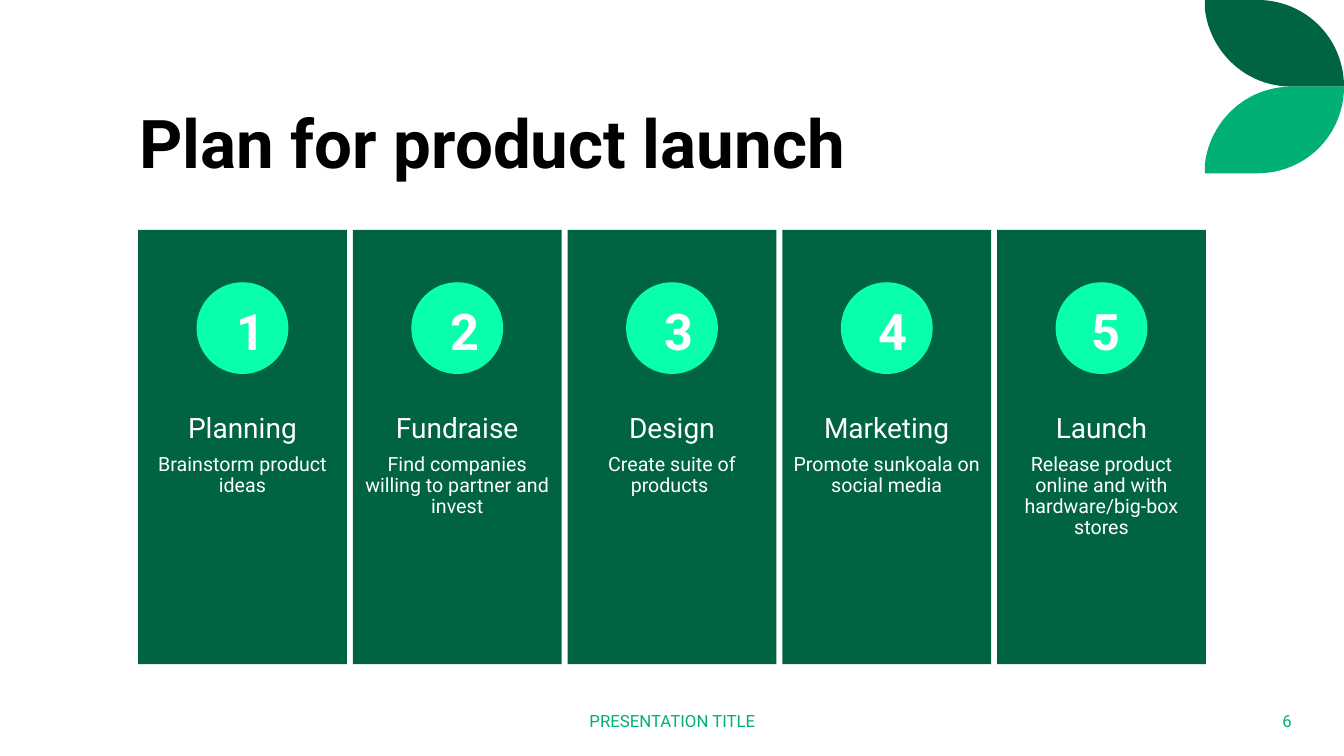
"""Build a slide with a five-step product launch plan."""
import pptx
import pptx.util
import pptx.dml.color
import pptx.enum.shapes
import pptx.enum.text

Inches = pptx.util.Inches
Pt = pptx.util.Pt
Align = pptx.enum.text.PP_ALIGN
Anchor = pptx.enum.text.MSO_ANCHOR
Kind = pptx.enum.shapes.MSO_SHAPE


def paint(target, color):
    if hasattr(target, "fill") and hasattr(target, "shadow"):
        target.shadow.inherit = False
        target.line.fill.background()
    target.fill.solid()
    target.fill.fore_color.rgb = pptx.dml.color.RGBColor.from_string(color)


def write(para, text, size, color, bold=False, align=Align.CENTER):
    para.alignment = align
    run = para.add_run()
    run.text = text
    run.font.name = "Roboto"
    run.font.size = Pt(size)
    run.font.bold = bold
    paint(run.font, color)


deck = pptx.Presentation()
deck.slide_width = Inches(13.33)
deck.slide_height = Inches(7.5)
slide = deck.slides.add_slide(deck.slide_layouts[5])
shapes = slide.shapes

curves = [
    [(12.47, 0), (12.95, 0), (13.33, 0.38), (13.33, 0.86)],
    [(12.81, 0.86), (12.36, 0.86), (12, 0.52), (11.95, 0.09)],
]
steps = 24
edge = [(11.95, 0)]
for curve in curves:
    for step in range(steps + 1):
        t = step / steps
        parts = [(1 - t) ** 3, 3 * t * (1 - t) ** 2, 3 * t ** 2 * (1 - t), t ** 3]
        edge.append(tuple(sum(w * p[axis] for w, p in zip(parts, curve)) for axis in (0, 1)))

for color, flip in [("006442", False), ("00B075", True)]:
    spots = [(Inches(x), Inches(1.72 - y if flip else y)) for x, y in edge]
    leaf = shapes.build_freeform(*spots[0])
    leaf.add_line_segments(spots[1:], close=True)
    paint(leaf.convert_to_shape(), color)

title = shapes.title
title.left, title.top = Inches(1.28), Inches(0.42)
title.width, title.height = Inches(10.69), Inches(1.45)
frame = title.text_frame
frame.vertical_anchor = Anchor.BOTTOM
frame.auto_size = pptx.enum.text.MSO_AUTO_SIZE.NONE
frame.paragraphs[0].line_spacing = 0.9
write(frame.paragraphs[0], "Plan for product launch", 48, "000000", True, Align.LEFT)

stages = [
    ("Planning", "Brainstorm product ideas"),
    ("Fundraise", "Find companies willing to partner and invest"),
    ("Design", "Create suite of products "),
    ("Marketing", "Promote sunkoala on social media"),
    ("Launch", "Release product online and with hardware/big-box stores"),
]
for index, (name, detail) in enumerate(stages):
    left = 1.37 + 2.13 * index
    card = shapes.add_shape(Kind.RECTANGLE, Inches(left), Inches(2.28), Inches(2.07), Inches(4.31))
    paint(card, "006442")

    frame = shapes.add_textbox(Inches(left), Inches(4), Inches(2.07), Inches(1.72)).text_frame
    frame.word_wrap = True
    frame.margin_left = frame.margin_right = Inches(0.11)
    frame.margin_top = frame.margin_bottom = Inches(0.11)
    for para, text, size, gap in [
        (frame.paragraphs[0], name, 20, 7),
        (frame.add_paragraph(), detail, 14, 2),
    ]:
        para.line_spacing = 0.9
        para.space_after = Pt(gap)
        write(para, text, size, "FFFFFF")

    disc = shapes.add_shape(Kind.OVAL, Inches(left + 0.58), Inches(2.8), Inches(0.91), Inches(0.91))
    paint(disc, "09FFAB")

    digit = shapes.add_textbox(Inches(2.25 + 2.12 * index), Inches(2.93), Inches(0.38), Inches(0.71))
    digit.text_frame.word_wrap = True
    write(digit.text_frame.paragraphs[0], str(index + 1), 36, "FFFFFF", True)

for left, width, text, align in [
    (4.42, 4.5, "PRESENTATION TITLE", Align.CENTER),
    (11.1, 1.81, "6", Align.RIGHT),
]:
    frame = shapes.add_textbox(Inches(left), Inches(6.95), Inches(width), Inches(0.4)).text_frame
    frame.word_wrap = True
    frame.vertical_anchor = Anchor.MIDDLE
    write(frame.paragraphs[0], text, 12, "00B075", align=align)

deck.save("out.pptx")
